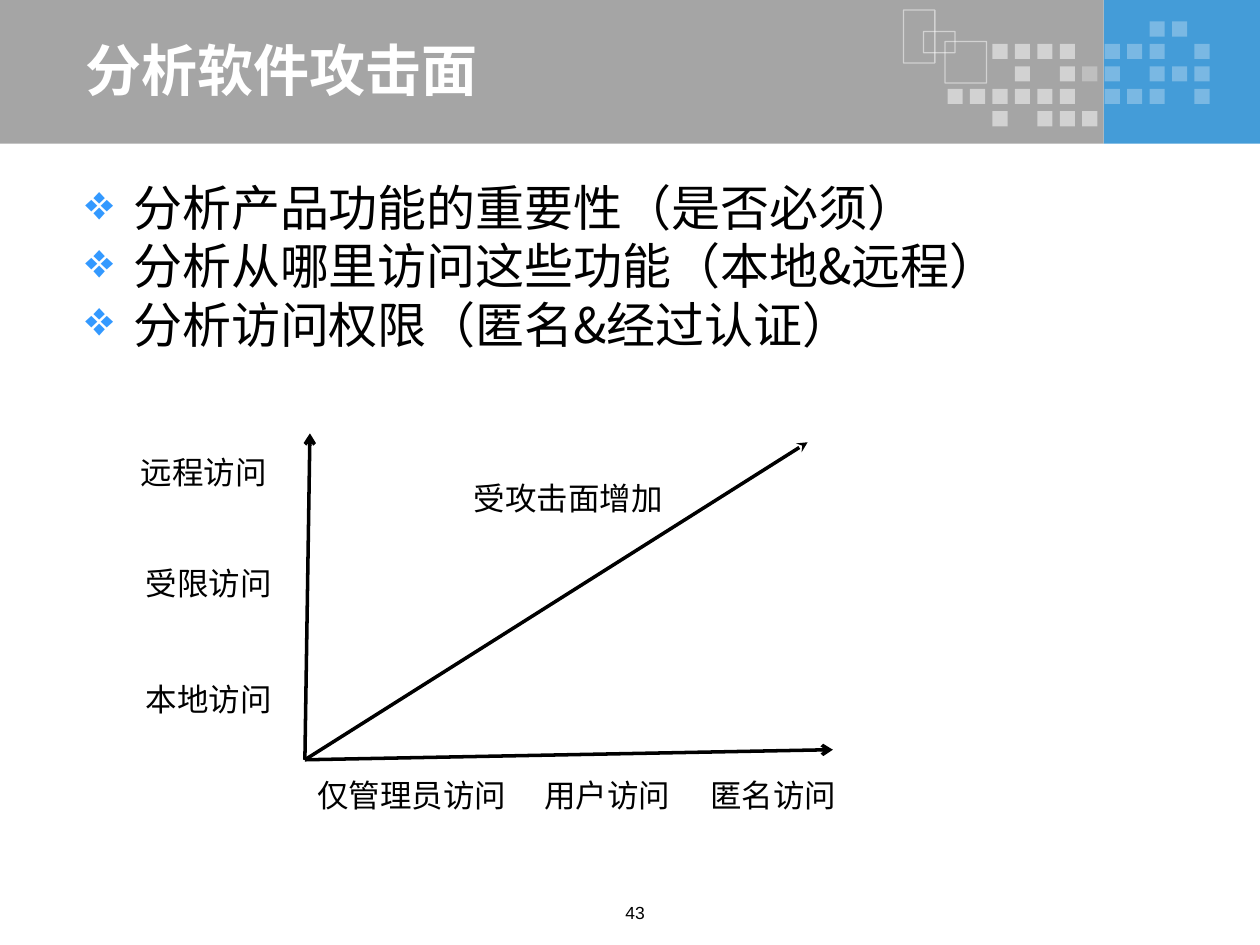
"""Build the slide on analysing the attack surface of software."""
import pptx
import pptx.util
import pptx.dml.color
import pptx.enum.shapes
import pptx.enum.text
import pptx.oxml.ns
import pptx.oxml.xmlchemy

Inches, Pt = pptx.util.Inches, pptx.util.Pt
RGBColor = pptx.dml.color.RGBColor
Align, Anchor = pptx.enum.text.PP_ALIGN, pptx.enum.text.MSO_ANCHOR
RECTANGLE = pptx.enum.shapes.MSO_SHAPE.RECTANGLE
STRAIGHT = pptx.enum.shapes.MSO_CONNECTOR.STRAIGHT

WHITE = RGBColor(0xFF, 0xFF, 0xFF)
BLACK = RGBColor(0, 0, 0)
GRAY = RGBColor(0xA5, 0xA5, 0xA5)
BLUE = RGBColor(0x44, 0x9C, 0xD8)
BULLET_BLUE = RGBColor(0x33, 0x99, 0xFF)
CJK, LATIN = "Noto Sans CJK SC", "Arial"

TITLE = "分析软件攻击面"
POINTS = [
    "分析产品功能的重要性（是否必须）",
    "分析从哪里访问这些功能（本地&远程）",
    "分析访问权限（匿名&经过认证）",
]
PAGE_NUMBER = "43"
BANDS = [((8.76, 0, 1.24, 1.14), BLUE), ((0, 0, 8.76, 1.14), GRAY)]
MOSAIC = [
    ".........ff.",
    "..ssss.fff.f",
    "...s.sff.fff",
    "ssssss.fff.f",
    "..s.sss.....",
]
MOSAIC_ALPHA = {"s": 50, "f": 29}
MOSAIC_LEFT, MOSAIC_TOP, MOSAIC_SIDE = 7.52, 0.17, 0.12
MOSAIC_PITCH = (9.48 - MOSAIC_LEFT) / (len(MOSAIC[0]) - 1)
FRAMES = [(7.17, 0.08, 0.25, 0.42), (7.33, 0.25, 0.25, 0.17), (7.5, 0.33, 0.33, 0.33)]
ORIGIN = (2.42, 6.03)
ARROWS = [((6.61, 5.95), "arrow"), ((2.46, 3.44), "arrow"), ((6.41, 3.51), "stealth")]
LABELS = [
    ("受攻击面增加", 3.66, 3.75, 1.88),
    ("远程访问", 1.02, 3.55, 1.36),
    ("受限访问", 1.06, 4.43, 1.36),
    ("本地访问", 1.06, 5.35, 1.36),
    ("仅管理员访问", 2.42, 6.11, 1.8),
    ("用户访问", 4.22, 6.11, 1.36),
    ("匿名访问", 5.54, 6.11, 1.36),
]


def apply(target, values):
    for name, value in values.items():
        setattr(target, name, value)


def add_element(parent, tag, **attributes):
    element = pptx.oxml.xmlchemy.OxmlElement(tag)
    for name, value in attributes.items():
        element.set(name, str(value))
    parent.append(element)
    return element


def set_alpha(shape, percent):
    for color in shape._element.spPr.iter(pptx.oxml.ns.qn("a:srgbClr")):
        add_element(color, "a:alpha", val=percent * 1000)


def add_rectangle(shapes, place, fill=None, line=None, alpha=100):
    shape = shapes.add_shape(RECTANGLE, *map(Inches, place))
    shape.shadow.inherit = False
    if fill is None:
        shape.fill.background()
    else:
        shape.fill.solid()
        shape.fill.fore_color.rgb = fill
    if line is None:
        shape.line.fill.background()
    else:
        shape.line.color.rgb = line
        shape.line.width = Pt(0.75)
    if alpha < 100:
        set_alpha(shape, alpha)


def add_arrow(shapes, start, end, head):
    arrow = shapes.add_connector(STRAIGHT, *map(Inches, start + end))
    arrow.line.color.rgb = BLACK
    arrow.line.width = Pt(2)
    add_element(arrow.line._get_or_add_ln(), "a:tailEnd", type=head)
    add_element(arrow._element.spPr, "a:effectLst")


def add_text(shapes, place, lines, size, font=LATIN, color=BLACK, bold=False, frame=None, para_format=None):
    box = shapes.add_textbox(*map(Inches, place))
    apply(box.text_frame, {"word_wrap": True, **(frame or {})})
    paras = [box.text_frame.paragraphs[0]]
    paras += [box.text_frame.add_paragraph() for _ in lines[1:]]
    for para, line in zip(paras, lines):
        apply(para, para_format or {})
        span = para.add_run()
        span.text = line
        apply(span.font, {"size": Pt(size), "name": font, "bold": bold})
        span.font.color.rgb = color
        add_element(span._r.get_or_add_rPr(), "a:ea", typeface=CJK)
    return paras


def add_bullet(para):
    properties = para._p.get_or_add_pPr()
    properties.set("marL", str(Inches(0.38)))
    properties.set("indent", str(Inches(-0.38)))
    color = add_element(properties, "a:buClr")
    add_element(color, "a:srgbClr", val=BULLET_BLUE)
    add_element(properties, "a:buChar", char="❖")


def add_banner(page):
    for place, color in BANDS:
        add_rectangle(page.shapes, place, fill=color)
    mosaic = page.shapes.add_group_shape().shapes
    for row, cells in enumerate(MOSAIC):
        for column, cell in enumerate(cells):
            if cell in MOSAIC_ALPHA:
                left = MOSAIC_LEFT + column * MOSAIC_PITCH
                top = MOSAIC_TOP + row * MOSAIC_PITCH
                place = (left, top, MOSAIC_SIDE, MOSAIC_SIDE)
                add_rectangle(mosaic, place, fill=WHITE, alpha=MOSAIC_ALPHA[cell])
    for place in FRAMES:
        add_rectangle(page.shapes, place, line=WHITE, alpha=50)


def add_diagram(page):
    diagram = page.shapes.add_group_shape().shapes
    for end, head in ARROWS:
        add_arrow(diagram, ORIGIN, end, head)
    grow = {"auto_size": pptx.enum.text.MSO_AUTO_SIZE.SHAPE_TO_FIT_TEXT}
    for text, left, top, width in LABELS:
        add_text(diagram, (left, top, width, 0.4), [text], 18, frame=grow)


def main():
    deck = pptx.Presentation()
    apply(deck, {"slide_width": Inches(10), "slide_height": Inches(7.5)})
    page = deck.slides.add_slide(deck.slide_layouts[6])
    add_banner(page)
    add_text(page.shapes, (0.58, 0.28, 7.76, 0.53), [TITLE], 32, CJK, WHITE, True,
             frame={"vertical_anchor": Anchor.MIDDLE})
    points = add_text(page.shapes, (0.58, 1.42, 8.96, 5.58), POINTS, 28, CJK,
                      para_format={"line_spacing": 0.88})
    for para in points:
        add_bullet(para)
    for para in points[1:]:
        para.space_before = Pt(3.75)
    add_diagram(page)
    add_text(page.shapes, (4.58, 7.11, 0.92, 0.29), [PAGE_NUMBER], 10,
             para_format={"alignment": Align.CENTER})
    deck.save("out.pptx")


if __name__ == "__main__":
    main()
